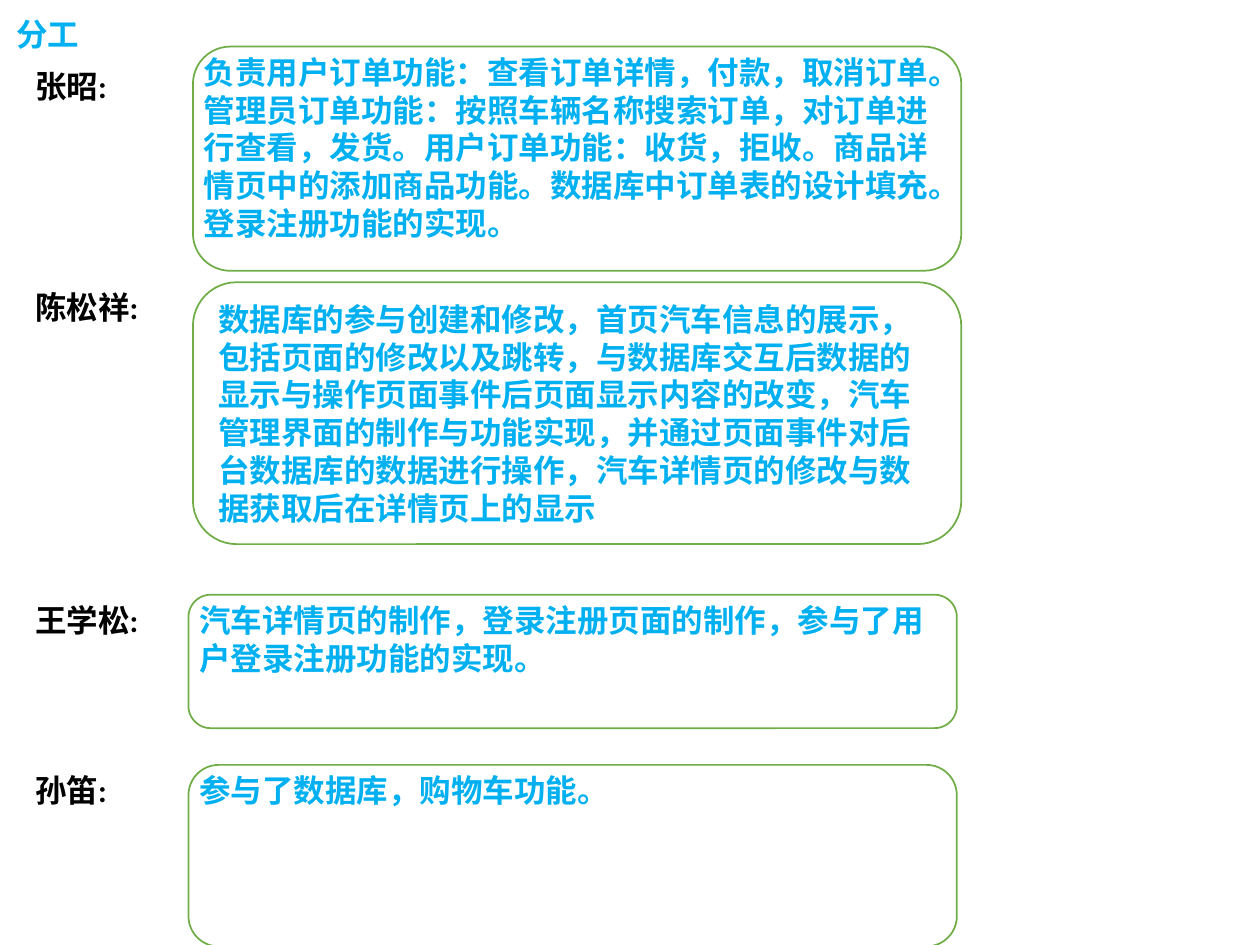
import pptx
import pptx.util
import pptx.dml.color
import pptx.enum.lang
import pptx.enum.shapes
import pptx.enum.text

Cm = pptx.util.Cm
BLUE, GREEN, WHITE, BLACK = "00B0F0", "70AD47", "FFFFFF", "000000"

# name, label top, panel (left, top, height), text height (None: text in panel), duties
TEAM = [
    ("张昭:", 1.22, (3.89, 0.94, 4.52), 4.09, [
        "负责用户订单功能：查看订单详情，付款，取消订单。",
        "管理员订单功能：按照车辆名称搜索订单，对订单进行查看，发货。"
        "用户订单功能：收货，拒收。商品详情页中的添加商品功能。"
        "数据库中订单表的设计填充。",
        "登录注册功能的实现。"]),
    ("陈松祥:", 5.69, (3.89, 5.69, 5.28), None, [
        "数据库的参与创建和修改，首页汽车信息的展示，包括页面的修改以及跳转，"
        "与数据库交互后数据的显示与操作页面事件后页面显示内容的改变，"
        "汽车管理界面的制作与功能实现，并通过页面事件对后台数据库的数据进行操作，"
        "汽车详情页的修改与数据获取后在详情页上的显示"]),
    ("王学松:", 11.99, (3.8, 11.99, 2.69), 1.8, [
        "汽车详情页的制作，登录注册页面的制作，参与了用户登录注册功能的实现。"]),
    ("孙笛:", 15.42, (3.8, 15.42, 3.66), 1.02, ["参与了数据库，购物车功能。"]),
]


def paint(code):
    return pptx.dml.color.RGBColor.from_string(code)


def write(frame, lines, color=BLUE, size=18, bold=True, font="Calibri"):
    frame.word_wrap = True
    for i, line in enumerate(lines):
        para = frame.paragraphs[0] if i == 0 else frame.add_paragraph()
        para.alignment = pptx.enum.text.PP_ALIGN.LEFT
        run = para.add_run()
        run.text = line
        run.font.name = font
        run.font.size = pptx.util.Pt(size)
        run.font.bold = bold
        run.font.color.rgb = paint(color)
        run.font.language_id = pptx.enum.lang.MSO_LANGUAGE_ID.SIMPLIFIED_CHINESE


def label(shapes, lines, left, top, width, height=1.02, **style):
    box = shapes.add_textbox(Cm(left), Cm(top), Cm(width), Cm(height))
    write(box.text_frame, lines, **style)
    box.text_frame.auto_size = pptx.enum.text.MSO_AUTO_SIZE.SHAPE_TO_FIT_TEXT


def panel(shapes, left, top, height):
    kind = pptx.enum.shapes.MSO_SHAPE.ROUNDED_RECTANGLE
    box = shapes.add_shape(kind, Cm(left), Cm(top), Cm(15.49), Cm(height))
    box.shadow.inherit = False
    box.fill.solid()
    box.fill.fore_color.rgb = paint(WHITE)
    box.line.color.rgb = paint(GREEN)
    box.line.width = pptx.util.Pt(1)
    return box


def duty(shapes, place, tall, lines):
    if tall is None:
        frame = panel(shapes, *place).text_frame
        frame.vertical_anchor = pptx.enum.text.MSO_ANCHOR.MIDDLE
        write(frame, lines)
    else:
        group = shapes.add_group_shape().shapes
        panel(group, *place)
        label(group, lines, place[0] - 0.03, place[1], 15.52, tall)


def main():
    deck = pptx.Presentation()
    deck.slide_width, deck.slide_height = Cm(25.4), Cm(19.05)
    shapes = deck.slides.add_slide(deck.slide_layouts[6]).shapes

    # Names on the left
    for name, top, *_ in TEAM:
        label(shapes, [name], 0.46, top, 3.12, color=BLACK)

    # Duties on the right
    for _, _, place, tall, lines in TEAM:
        duty(shapes, place, tall, lines)

    # Title
    label(shapes, ["分工"], 0.08, 0.18, 2.34)
    deck.save("out.pptx")


if __name__ == "__main__":
    main()
